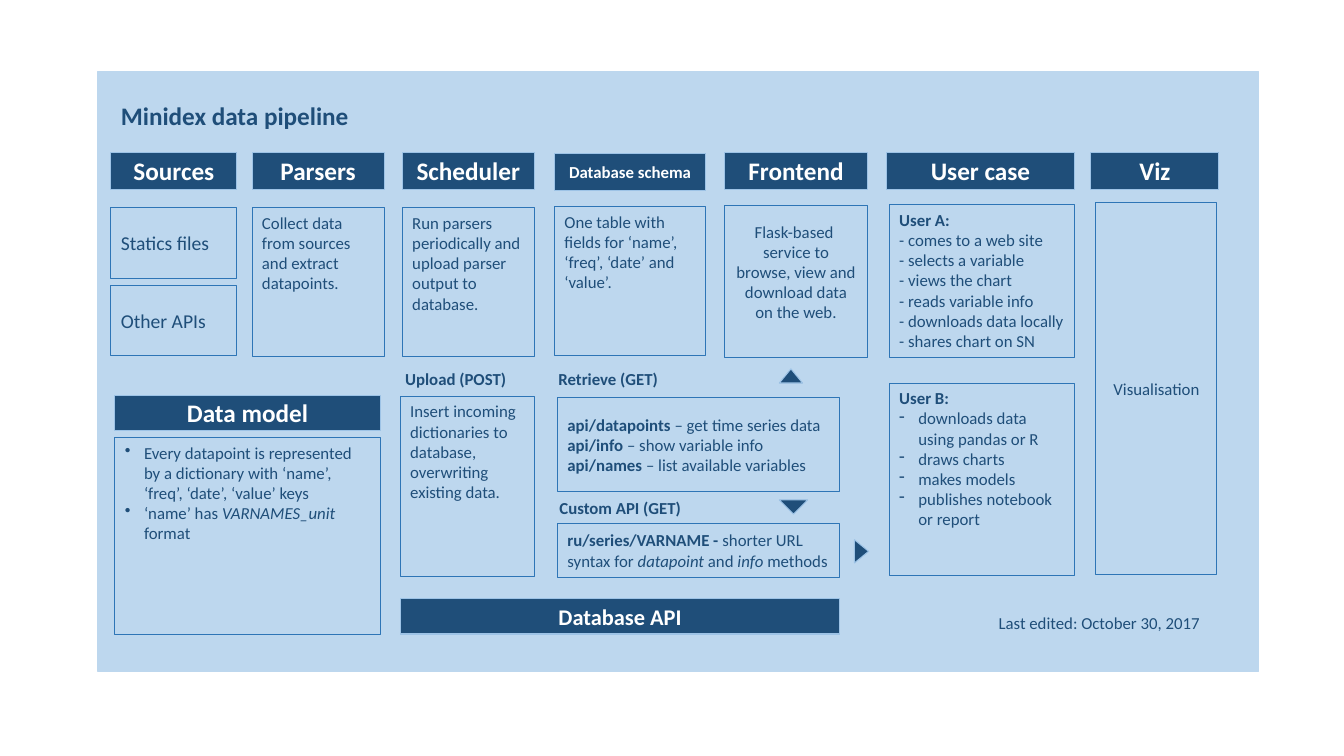
"""Build the data pipeline overview slide."""
from dataclasses import dataclass
from typing import NamedTuple, Optional, Union

from lxml.etree import SubElement
from pptx import Presentation
from pptx.dml.color import RGBColor
from pptx.enum.shapes import MSO_SHAPE as Geometry
from pptx.enum.text import MSO_ANCHOR as Anchor, PP_ALIGN as Align
from pptx.oxml.ns import qn
from pptx.util import Inches, Pt


@dataclass(frozen=True)
class Theme:
    """Colours, font and type sizes of the slide."""
    navy: str = "1F4E79"
    blue: str = "2E75B6"
    sky: str = "9DC3E6"
    pale: str = "BDD7EE"
    white: str = "FFFFFF"
    font: str = "Calibri"
    body: int = 12
    source: int = 14
    api: int = 16
    title: int = 18
    hairline: float = 0.75


class Run(NamedTuple):
    """A piece of text with its emphasis."""
    text: str
    bold: bool = False
    italic: bool = False


class Para(NamedTuple):
    """A paragraph of runs, with an optional bullet."""
    runs: list[Run]
    bullet: str = ""


class Box(NamedTuple):
    """Left, top, width and height in inches."""
    x: float
    y: float
    w: float
    h: float


class Header(NamedTuple):
    """A dark heading bar."""
    text: str
    box: Box
    size: int = 18


class Panel(NamedTuple):
    """An outlined box with text."""
    content: Union[str, list[Para]]
    box: Box
    size: int = 12
    anchor: Anchor = Anchor.TOP
    align: Align = Align.LEFT
    bottom: float = 0.05


class Label(NamedTuple):
    """Text without a frame."""
    text: str
    box: Box
    size: int = 12
    bold: bool = True
    anchor: Anchor = Anchor.TOP
    align: Align = Align.LEFT


class Arrow(NamedTuple):
    """A small triangle turned by some degrees."""
    box: Box
    rotation: int


T = Theme()
BAR_Y, BAR_H = 1.51, 0.37


def plain(text: str, bullet: str = "") -> Para:
    """Make a paragraph of one regular run."""
    return Para([Run(text)], bullet)


def strong(text: str, rest: str = "") -> Para:
    """Make a paragraph that opens in bold."""
    return Para([Run(text, bold=True)] + ([Run(rest)] if rest else []))


HEADERS = [
    Header("Sources", Box(1.1, BAR_Y, 1.25, BAR_H)),
    Header("Parsers", Box(2.5, BAR_Y, 1.31, BAR_H)),
    Header("Scheduler", Box(3.99, BAR_Y, 1.31, BAR_H)),
    Header("Database schema", Box(5.5, 1.52, 1.5, BAR_H), T.body),
    Header("Frontend", Box(7.19, BAR_Y, 1.41, BAR_H)),
    Header("User case", Box(8.79, BAR_Y, 1.87, BAR_H)),
    Header("Viz", Box(10.82, BAR_Y, 1.27, BAR_H)),
    Header("Data model", Box(1.14, 3.92, 2.63, 0.35)),
    Header("Database API", Box(3.97, 5.94, 4.36, 0.35), T.api),
]

USER_A = ["comes to a web site", "selects a variable", "views the chart",
          "reads variable info", "downloads data locally", "shares chart on SN"]
USER_B = ["downloads data using pandas or R", "draws charts", "makes models",
          "publishes notebook or report"]

PANELS = [
    Panel("Statics files", Box(1.1, 2.06, 1.25, 0.7), T.source, Anchor.MIDDLE),
    Panel("Other APIs", Box(1.1, 2.83, 1.25, 0.7), T.source, Anchor.MIDDLE),
    Panel("Collect data from sources and extract datapoints.", Box(2.5, 2.06, 1.31, 1.48)),
    Panel("Run parsers periodically and upload parser output to database.",
          Box(3.99, 2.06, 1.31, 1.48)),
    Panel("One table with fields for ‘name’, ‘freq’, ‘date’ and ‘value’.",
          Box(5.5, 2.05, 1.5, 1.48)),
    Panel("Flask-based \vservice to browse, view and download data on the web.",
          Box(7.19, 2.04, 1.41, 1.51), anchor=Anchor.MIDDLE, align=Align.CENTER, bottom=0.25),
    Panel([strong("User A:")] + [plain(f"- {step}") for step in USER_A],
          Box(8.82, 2.03, 1.84, 1.52)),
    Panel([strong("User B:")] + [plain(step, "-") for step in USER_B],
          Box(8.82, 3.8, 1.84, 1.91)),
    Panel("Visualisation", Box(10.87, 2.01, 1.2, 3.69), anchor=Anchor.MIDDLE,
          align=Align.CENTER),
    Panel("Insert incoming dictionaries to database, overwriting existing data.",
          Box(3.97, 3.93, 1.33, 1.79)),
    Panel([strong("api/datapoints ", "– get time series data"),
           strong("api/info ", "– show variable info"),
           strong("api/names ", "– list available variables")],
          Box(5.53, 3.94, 2.8, 0.94), anchor=Anchor.MIDDLE),
    Panel([Para([Run("ru/series/VARNAME - ", bold=True), Run("shorter URL syntax for "),
                 Run("datapoint", italic=True), Run(" and "), Run("info", italic=True),
                 Run(" methods")])],
          Box(5.53, 5.19, 2.8, 0.54), anchor=Anchor.MIDDLE),
    Panel([plain("Every datapoint is represented by a dictionary with "
                 "‘name’, ‘freq’, ‘date’, ‘value’ keys", "•"),
           Para([Run("‘name’ has "), Run("VARNAMES_unit ", italic=True), Run("format")], "•")],
          Box(1.14, 4.34, 2.63, 1.96)),
]

LABELS = [
    Label("Minidex data pipeline", Box(1.1, 0.96, 2.72, 0.37), T.title, anchor=Anchor.MIDDLE),
    Label("Upload (POST)", Box(3.92, 3.61, 1.42, 0.3)),
    Label("Retrieve (GET)", Box(5.44, 3.61, 1.48, 0.3)),
    Label("Custom API (GET)", Box(5.45, 4.89, 2.8, 0.25)),
    Label("Last edited: October 30, 2017", Box(9.4, 5.95, 2.6, 0.46), bold=False,
          anchor=Anchor.MIDDLE, align=Align.RIGHT),
]

ARROWS = [Arrow(Box(7.73, 3.66, 0.23, 0.14), 0), Arrow(Box(8.43, 5.4, 0.23, 0.14), 90),
          Arrow(Box(7.73, 4.96, 0.28, 0.14), 180)]


def add_shape(s, box: Box, fill: Optional[str], line: str, width: float = T.hairline,
              kind: Geometry = Geometry.RECTANGLE):
    """Draw a flat preset shape."""
    sp = s.shapes.add_shape(kind, *map(Inches, box))
    sp.shadow.inherit = False
    if fill:
        sp.fill.solid()
        sp.fill.fore_color.rgb = RGBColor.from_string(fill)
    else:
        sp.fill.background()
    sp.line.color.rgb = RGBColor.from_string(line)
    sp.line.width = Pt(width)
    return sp


def write(sp, content: Union[str, list[Para]], *, size: int = T.body, color: str = T.navy,
          bold: bool = False, anchor: Anchor = Anchor.TOP, align: Align = Align.LEFT,
          bottom: float = 0.05) -> None:
    """Fill a shape with formatted paragraphs."""
    tf = sp.text_frame
    tf.word_wrap, tf.vertical_anchor, tf.margin_bottom = True, anchor, Inches(bottom)
    paras = [Para([Run(content, bold)])] if isinstance(content, str) else content
    for i, para in enumerate(paras):
        p = tf.add_paragraph() if i else tf.paragraphs[0]
        p.alignment = align
        if para.bullet:
            props = p._p.get_or_add_pPr()
            props.set("marL", str(Inches(0.19)))
            props.set("indent", str(-Inches(0.19)))
            SubElement(props, qn("a:buChar"), char=para.bullet)
        for run in para.runs:
            for i_line, text in enumerate(run.text.split("\v")):
                if i_line:
                    p.add_line_break()
                r = p.add_run()
                r.text = text
                r.font.name, r.font.size = T.font, Pt(size)
                r.font.bold, r.font.italic = run.bold, run.italic
                r.font.color.rgb = RGBColor.from_string(color)


def main() -> None:
    """Build and save the slide."""
    prs = Presentation()
    prs.slide_width, prs.slide_height = Inches(13.33), Inches(7.5)
    s = prs.slides.add_slide(prs.slide_layouts[6])
    add_shape(s, Box(0.97, 0.71, 11.51, 5.95), T.pale, T.pale, 1)
    for panel in PANELS:
        write(add_shape(s, panel.box, None, T.blue), panel.content, size=panel.size,
              anchor=panel.anchor, align=panel.align, bottom=panel.bottom)
    for header in HEADERS:
        write(add_shape(s, header.box, T.navy, T.sky), header.text, size=header.size,
              color=T.white, bold=True, anchor=Anchor.MIDDLE, align=Align.CENTER)
    for label in LABELS:
        write(s.shapes.add_textbox(*map(Inches, label.box)), label.text, size=label.size,
              bold=label.bold, anchor=label.anchor, align=label.align)
    for arrow in ARROWS:
        sp = add_shape(s, arrow.box, T.navy, T.sky, kind=Geometry.ISOSCELES_TRIANGLE)
        sp.rotation = arrow.rotation
    prs.save("out.pptx")


main()
